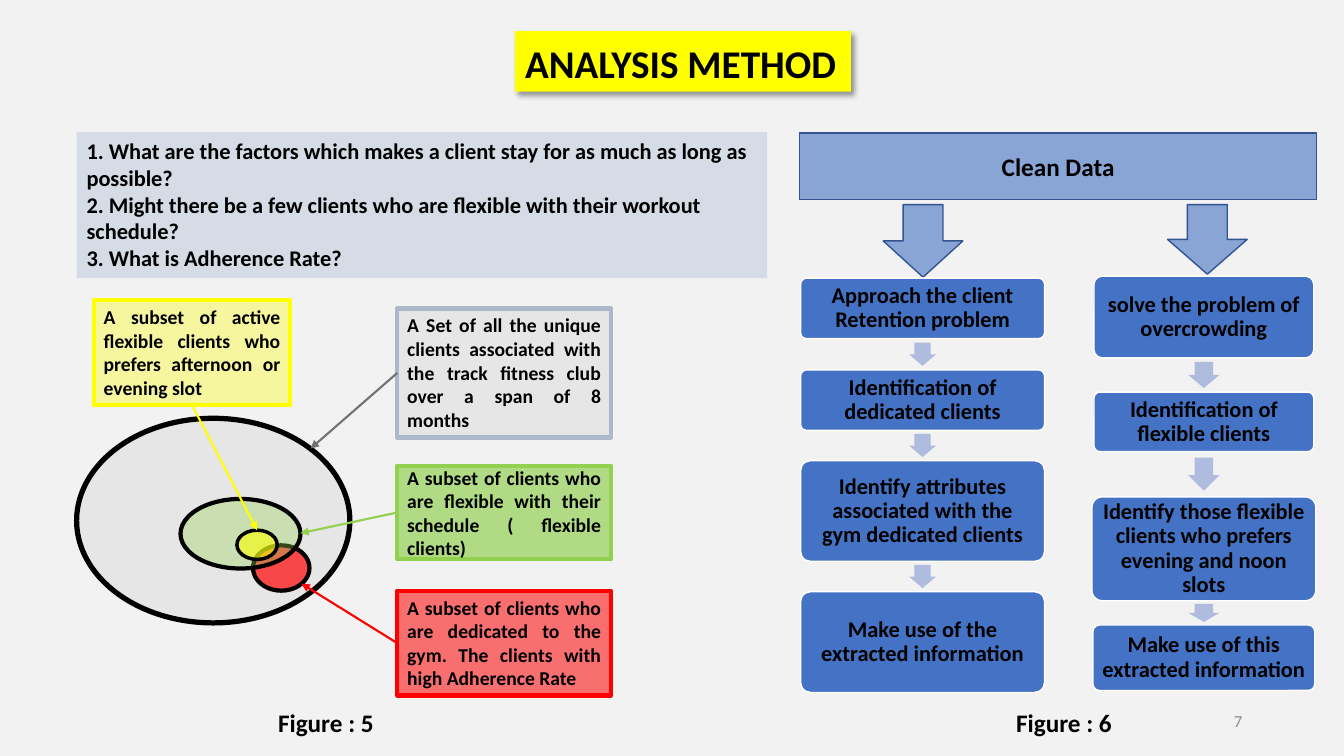
"""Build the analysis method slide: client subsets on the left, process flow on the right."""
from pptx import Presentation
from pptx.dml.color import RGBColor
from pptx.enum.shapes import MSO_CONNECTOR, MSO_SHAPE
from pptx.enum.text import MSO_ANCHOR, PP_ALIGN
from pptx.oxml import parse_xml
from pptx.oxml.ns import nsdecls, qn
from pptx.util import Emu, Pt

RECTANGLE, ELLIPSE = MSO_SHAPE.RECTANGLE, MSO_SHAPE.OVAL
ROUNDED, RIGHT_ARROW, DOWN_ARROW = MSO_SHAPE.ROUNDED_RECTANGLE, MSO_SHAPE.RIGHT_ARROW, MSO_SHAPE.DOWN_ARROW
TOP, MIDDLE, BOTTOM = MSO_ANCHOR.TOP, MSO_ANCHOR.MIDDLE, MSO_ANCHOR.BOTTOM
LEFT, CENTER, RIGHT, JUSTIFY = PP_ALIGN.LEFT, PP_ALIGN.CENTER, PP_ALIGN.RIGHT, PP_ALIGN.JUSTIFY
PX = 9144
COLORS = {
    "background": "F2F2F2", "black": "000000", "white": "FFFFFF", "yellow": "FFFF00",
    "red": "FF0000", "green": "92D050", "gray": "E7E6E6", "dark gray": "767171",
    "steel": "ADB9CA", "pale blue": "D6DCE5", "blue": "4472C4", "navy": "325491",
    "flow arrow": "B0BCDE", "page number": "8C8C8C",
}


def add_text(shape, text, size=14, color="black", bold=True, align=LEFT, anchor=TOP, spacing=None, inset=None):
    frame = shape.text_frame
    frame.word_wrap = True
    frame.vertical_anchor = anchor
    if inset is not None:
        frame.margin_left = frame.margin_right = frame.margin_top = frame.margin_bottom = Emu(inset * PX)
    frame.text = text
    for paragraph in frame.paragraphs:
        paragraph.alignment = align
        paragraph.line_spacing = spacing
        paragraph.font.name = "Calibri"
        paragraph.font.size = Pt(size)
        paragraph.font.bold = bold
        paragraph.font.color.rgb = RGBColor.from_string(COLORS[color])


def add_box(kind, bounds, fill, line=None, width=1, opacity=100):
    shape = slide.shapes.add_shape(kind, *(Emu(round(length * PX)) for length in bounds))
    shape.shadow.inherit = False
    shape.fill.solid()
    shape.fill.fore_color.rgb = RGBColor.from_string(COLORS[fill])
    if opacity < 100:
        fill_color = shape._element.spPr.find(qn("a:solidFill"))[0]
        fill_color.append(parse_xml(f'<a:alpha {nsdecls("a")} val="{opacity * 1000}"/>'))
    if line:
        shape.line.color.rgb = RGBColor.from_string(COLORS[line])
        shape.line.width = Pt(width)
    else:
        shape.line.fill.background()
    return shape


presentation = Presentation()
presentation.slide_width, presentation.slide_height = Emu(1333 * PX), Emu(750 * PX)
slide = presentation.slides.add_slide(presentation.slide_layouts[6])
slide.background.fill.solid()
slide.background.fill.fore_color.rgb = RGBColor.from_string(COLORS["background"])

title = add_box(RECTANGLE, (511, 31, 333, 60), "yellow")
title._element.spPr.find(qn("a:effectLst")).append(parse_xml(
    f'<a:outerShdw {nsdecls("a")} blurRad="50800" dist="38100" dir="2700000" algn="tl" rotWithShape="0">'
    '<a:srgbClr val="000000"><a:alpha val="40000"/></a:srgbClr></a:outerShdw>'))
add_text(title, "ANALYSIS METHOD", size=28, anchor=BOTTOM, spacing=0.9)

questions = add_box(RECTANGLE, (76, 131, 685, 145), "pale blue")
add_text(questions, "\n".join([
    "1. What are the factors which makes a client stay for as much as long as possible?",
    "2. Might there be a few clients who are flexible with their workout schedule?",
    "3. What is Adherence Rate?",
]), size=16)

ellipses = [
    ((76, 415, 271, 203), "gray", 3.75, 100),
    ((251, 541, 56, 45), "red", 3, 69),
    ((179, 495, 119, 69), "green", 3, 35),
    ((235, 526, 40, 29), "yellow", 2.5, 59),
]
for bounds, fill, width, opacity in ellipses:
    active_clients = add_box(ELLIPSE, bounds, fill, "black", width, opacity)

callouts = [
    ("A Set of all the unique clients associated with the track fitness club over a span of 8 months",
     (394, 306, 212, 128), "gray", "steel", 100, TOP, "dark gray", 1, (308, 445)),
    ("A subset of clients who are dedicated to the gym. The clients with high Adherence Rate",
     (394, 586, 212, 104), "red", "red", 54, TOP, "red", 1, (299, 579)),
    ("A subset of clients who are flexible with their schedule ( flexible clients)",
     (394, 462, 212, 93), "green", "green", 68, MIDDLE, "green", 1, (298, 529)),
    ("A subset of active flexible clients who prefers afternoon or evening slot",
     (93, 298, 195, 104), "yellow", "yellow", 34, TOP, "yellow", 2, (255, 526)),
]
for text, bounds, fill, line, opacity, anchor, arrow_color, side, target in callouts:
    callout = add_box(RECTANGLE, bounds, fill, line, 3, opacity)
    add_text(callout, text, align=JUSTIFY, anchor=anchor)
    end_x, end_y = (Emu(length * PX) for length in target)
    connector = slide.shapes.add_connector(MSO_CONNECTOR.STRAIGHT, end_x, end_y, end_x, end_y)
    connector.begin_connect(callout, side)
    connector.line.color.rgb = RGBColor.from_string(COLORS[arrow_color])
    connector.line.width = Pt(1.5)
    connector.line._get_or_add_ln().append(parse_xml(f'<a:tailEnd {nsdecls("a")} type="triangle"/>'))
    connector._element.spPr.append(parse_xml(f'<a:effectLst {nsdecls("a")}/>'))
connector.end_connect(active_clients, 0)

clean_data = add_box(RECTANGLE, (793, 132, 513, 66), "blue", "navy", opacity=60)
add_text(clean_data, "Clean Data", size=18, align=CENTER, anchor=MIDDLE)
for left, height in [(876, 72), (1158, 69)]:
    add_box(DOWN_ARROW, (left, 203, 79, height), "blue", "navy", opacity=60)

flows = [
    (915, 27, [
        ("Approach the client Retention problem", 276, 242, 60, 23),
        ("Identification of dedicated clients", 367, 242, 60, 23),
        ("Identify attributes associated with the gym dedicated clients", 457, 242, 100, 23),
        ("Make use of the extracted information", 587, 242, 100, 0),
    ]),
    (1194, 31, [
        ("solve the problem of overcrowding", 274, 218, 81, 26),
        ("Identification of flexible clients", 389, 218, 59, 33),
        ("Identify those flexible clients who prefers evening and noon slots", 493, 222, 103, 18),
        ("Make use of this extracted information", 620, 220, 65, 0),
    ]),
]
for center, breadth, steps in flows:
    for index, (text, top, width, height, arrow_length) in enumerate(steps):
        step = add_box(ROUNDED, (center - width / 2, top, width, height), "blue", "white")
        step.adjustments[0] = 0.1
        add_text(step, text, size=16, align=CENTER, anchor=MIDDLE, spacing=0.9, inset=7)
        if arrow_length:
            middle = (top + height + steps[index + 1][1]) / 2
            arrow = add_box(RIGHT_ARROW, (center - arrow_length / 2, middle - breadth / 2, arrow_length, breadth),
                            "flow arrow")
            arrow.rotation = 90
            arrow.adjustments[0] = 0.6

labels = [
    ("Figure : 5", (266, 697, 127, 40), {"size": 18}),
    ("Figure : 6", (998, 697, 127, 40), {"size": 18}),
    ("7", (942, 695, 300, 40),
     {"size": 12, "color": "page number", "bold": False, "align": RIGHT, "anchor": MIDDLE}),
]
for text, bounds, text_format in labels:
    add_text(slide.shapes.add_textbox(*(Emu(length * PX) for length in bounds)), text, **text_format)

presentation.save("out.pptx")
